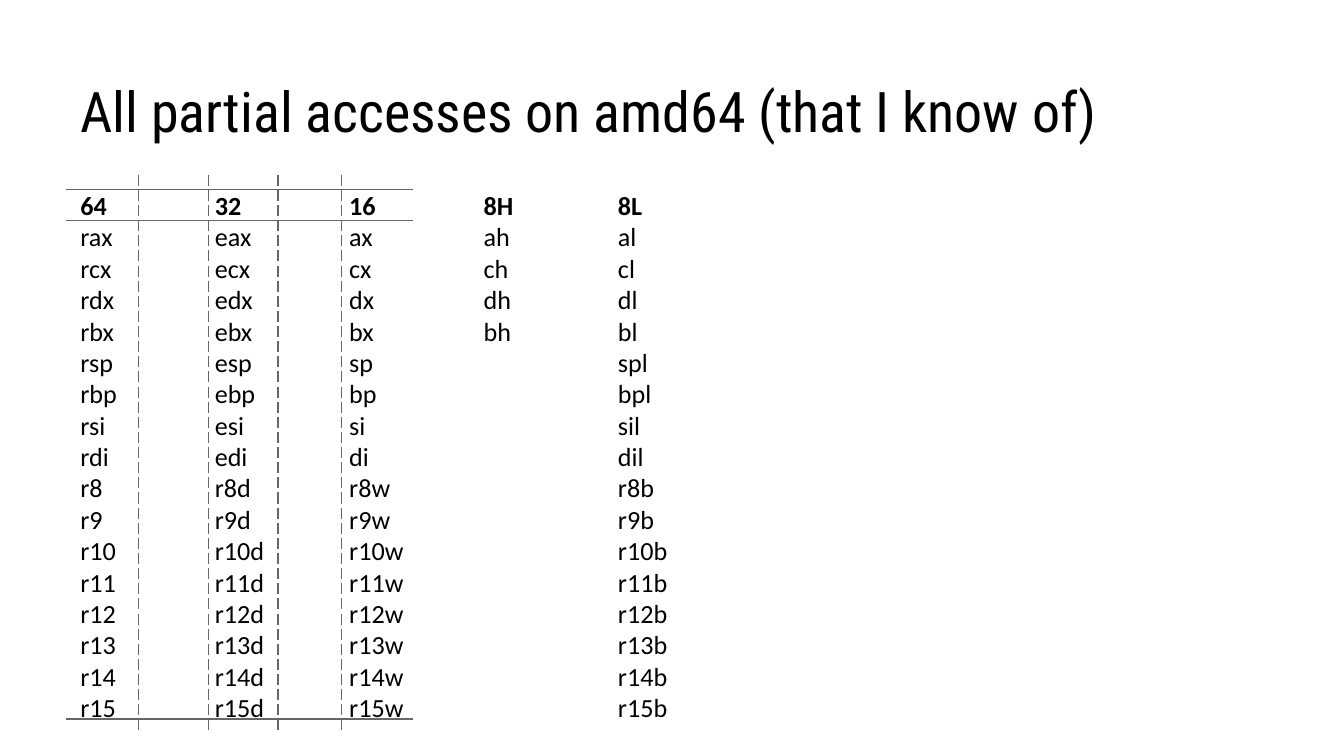
import pptx
import pptx.util
import pptx.dml.color
import pptx.enum.dml
import pptx.enum.shapes
import pptx.enum.text
import pptx.oxml.ns
import lxml.etree
from dataclasses import dataclass

Inches = pptx.util.Inches
Pt = pptx.util.Pt
qn = pptx.oxml.ns.qn


@dataclass
class Theme:
    ink: str = "000000"
    rule: str = "666666"
    head: str = "Roboto Condensed"
    body: str = "Calibri"
    big: int = 30
    small: int = 14
    pitch: float = 16.83
    thin: float = 0.75


theme = Theme()

# Wide page, 16 to 9
deck = pptx.Presentation()
deck.slide_width = Inches(10)
deck.slide_height = Inches(10) * 9 // 16
slide = deck.slides.add_slide(deck.slide_layouts[6])


def write(para, text, font=theme.body, size=theme.small, bold=False):
    run = para.add_run()
    run.text = text
    run.font.name = font
    run.font.size = Pt(size)
    run.font.bold = bold
    run.font.color.rgb = pptx.dml.color.RGBColor.from_string(theme.ink)


def frame(top, height, anchor):
    box = slide.shapes.add_textbox(Inches(0.5), Inches(top), Inches(9), Inches(height))
    text = box.text_frame
    text.word_wrap = True
    text.vertical_anchor = anchor
    text.margin_left = text.margin_right = Inches(0.1)
    text.margin_top = text.margin_bottom = Inches(0.1)
    return text


# Title
title = frame(0.23, 0.94, pptx.enum.text.MSO_ANCHOR.BOTTOM)
write(title.paragraphs[0], "All partial accesses on amd64 (that I know of)",
      font=theme.head, size=theme.big)

# Register names: 64, 32, 16, high 8 and low 8 bits
rows = [["64", "32", "16", "8H", "8L"]]
for key in "acdb":
    rows.append([f"r{key}x", f"e{key}x", f"{key}x", f"{key}h", f"{key}l"])
for key in ("sp", "bp", "si", "di"):
    rows.append([f"r{key}", f"e{key}", key, "", f"{key}l"])
for num in range(8, 16):
    rows.append([f"r{num}", f"r{num}d", f"r{num}w", "", f"r{num}b"])

# Register list, one tab stop per inch
names = frame(1.31, 4.07, pptx.enum.text.MSO_ANCHOR.TOP)
for i, row in enumerate(rows):
    para = names.paragraphs[0] if i == 0 else names.add_paragraph()
    para.line_spacing = Pt(theme.pitch)
    write(para, "\t".join(row), bold=i == 0)
    tabs = lxml.etree.SubElement(para._p.get_or_add_pPr(), qn("a:tabLst"))
    for stop in range(1, len(row)):
        lxml.etree.SubElement(tabs, qn("a:tab"), pos=str(Inches(stop)), algn="l")

# Rules: solid across, dashed down
rules = [(0.49, y, 3.07, y) for y in (1.64, 1.41, 5.35)]
rules += [(x, 1.3, x, 5.46) for x in (1.03, 1.55, 2.07, 2.54)]
for left, top, right, low in rules:
    rule = slide.shapes.add_connector(
        pptx.enum.shapes.MSO_CONNECTOR.STRAIGHT,
        Inches(left), Inches(top), Inches(right), Inches(low))
    rule.line.color.rgb = pptx.dml.color.RGBColor.from_string(theme.rule)
    rule.line.width = Pt(theme.thin)
    if left == right:
        rule.line.dash_style = pptx.enum.dml.MSO_LINE.LONG_DASH
    lxml.etree.SubElement(rule._element.spPr, qn("a:effectLst"))

deck.save("out.pptx")
